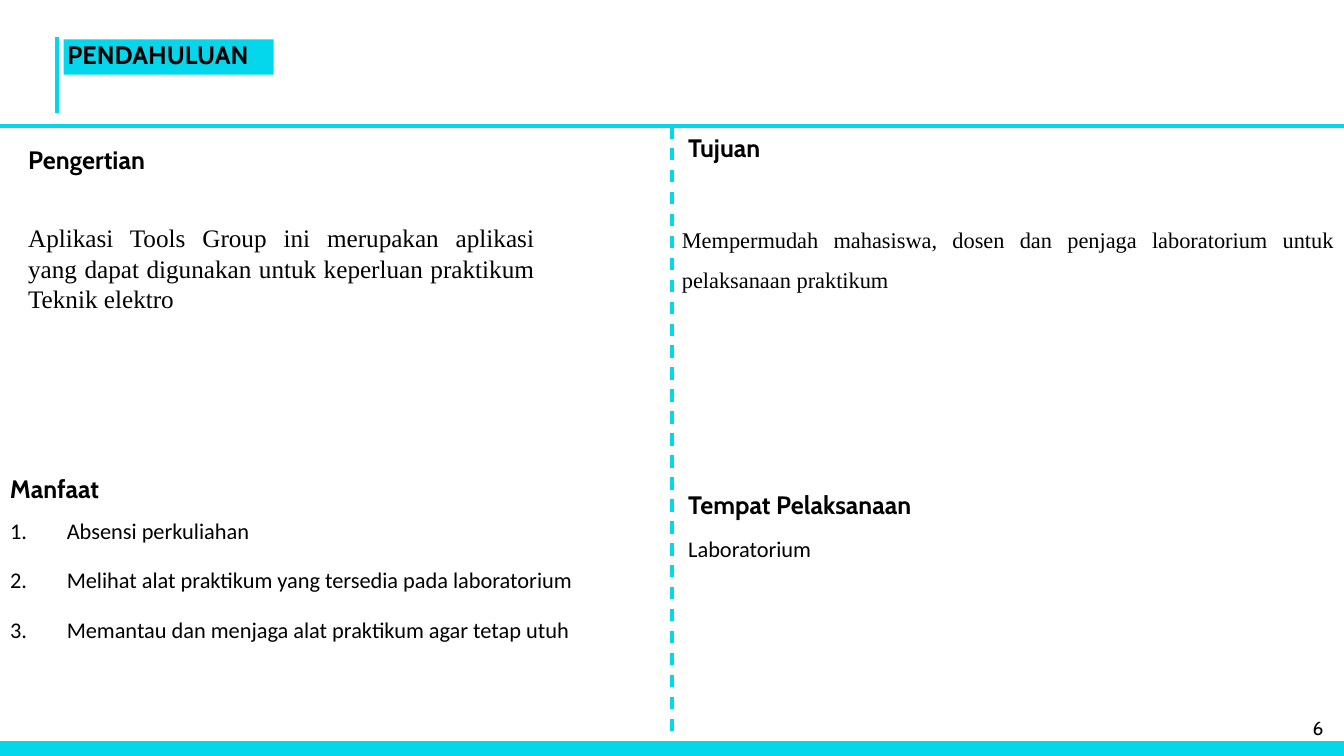
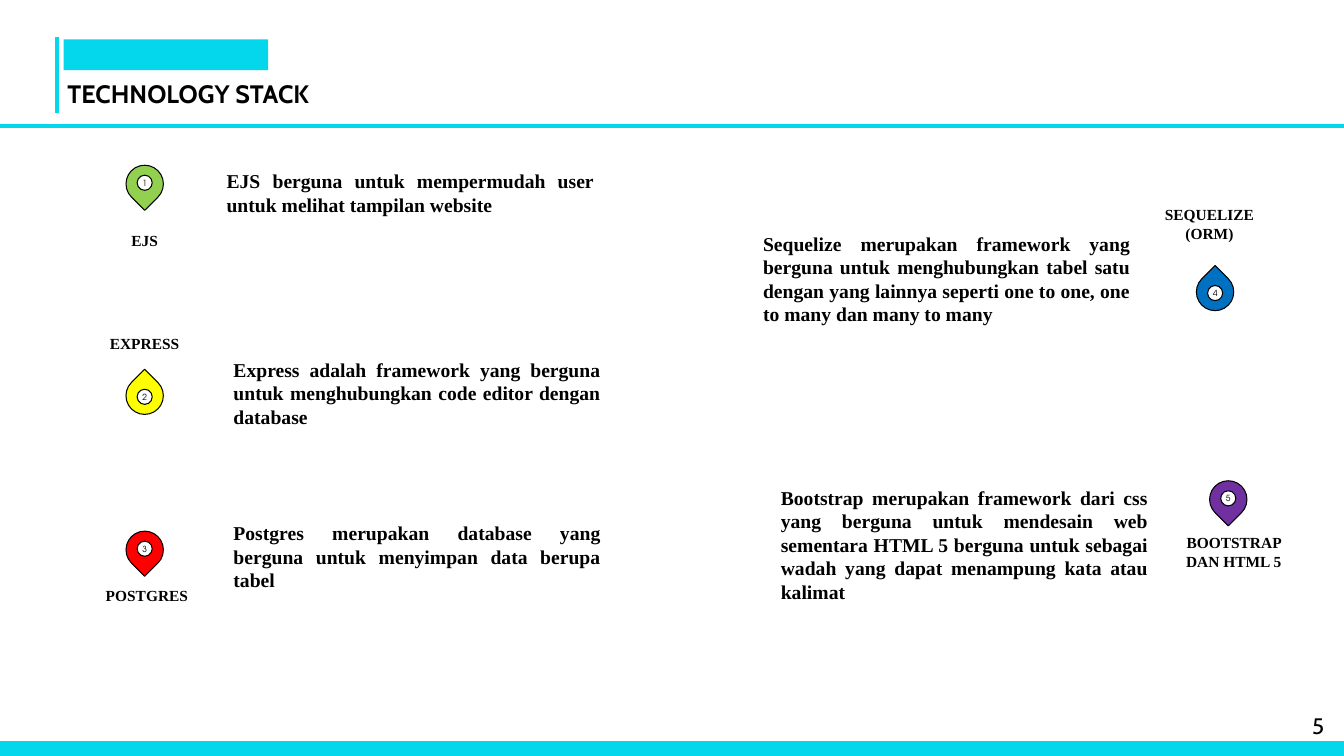
from dataclasses import dataclass
from typing import NamedTuple

from lxml import etree
from pptx import Presentation
from pptx.dml.color import RGBColor
from pptx.enum import dml, shapes, text
from pptx.oxml import ns
from pptx.util import Pt

CYAN = RGBColor(0x04, 0xD6, 0xEC)
BLACK = RGBColor(0x00, 0x00, 0x00)
WHITE = RGBColor(0xFF, 0xFF, 0xFF)
GREEN = RGBColor(0x92, 0xD0, 0x50)
YELLOW = RGBColor(0xFF, 0xFF, 0x00)
RED = RGBColor(0xFF, 0x00, 0x00)
BLUE = RGBColor(0x00, 0x70, 0xC0)
PURPLE = RGBColor(0x70, 0x30, 0xA0)

HEAD_FONT = "Cabin"
BODY_FONT = "Calibri"
SERIF_FONT = "Times New Roman"
DIGIT_FONT = "TeX Gyre Adventor"

LEFT, CENTER, JUSTIFY = (text.PP_ALIGN.LEFT, text.PP_ALIGN.CENTER,
                         text.PP_ALIGN.JUSTIFY)
TOP, MIDDLE, BOTTOM = (text.MSO_ANCHOR.TOP, text.MSO_ANCHOR.MIDDLE,
                       text.MSO_ANCHOR.BOTTOM)

SLIDE_W, SLIDE_H = 960, 540
RULE_Y = 90
PIN_SIZE, DOT_SIZE, DOT_SHIFT = 26.7, 10.8, 0.8
TITLE_ONLY, TITLE_AND_BODY = 5, 1


class Box(NamedTuple):
    x: float
    y: float
    w: float
    h: float

    def points(self) -> list:
        return [Pt(v) for v in self]


@dataclass
class Header:
    """Title and footer settings that vary by slide."""
    title: str
    title_y: float
    band: Box
    number: str
    number_box: Box
    number_size: float
    number_spacing: float


@dataclass
class Tool:
    """A numbered pin with its label and description."""
    number: int
    label: str
    note: str
    color: RGBColor
    pin_x: float
    pin_y: float
    points_down: bool
    label_box: Box
    note_box: Box
    label_anchor: text.MSO_ANCHOR = BOTTOM


def write(sp, content: str, *, font: str = HEAD_FONT, size: float = 18,
          bold: bool = False, align=LEFT, spacing: float = 1.0,
          before: float = 0, anchor=TOP, inset: bool = True) -> None:
    """Fill a shape with one paragraph per line of content."""
    tf = sp.text_frame
    tf.text = content
    tf.word_wrap = True
    tf.auto_size = text.MSO_AUTO_SIZE.NONE
    tf.vertical_anchor = anchor
    tf.margin_left = tf.margin_right = Pt(7.2 if inset else 0)
    tf.margin_top = tf.margin_bottom = Pt(3.6 if inset else 0)
    for p in tf.paragraphs:
        p.alignment, p.line_spacing = align, spacing
        p.space_before = Pt(before)
        for r in p.runs:
            r.font.name, r.font.size, r.font.bold = font, Pt(size), bold
            r.font.color.rgb = BLACK


def add_text(s, box: Box, content: str, **style) -> None:
    write(s.shapes.add_textbox(*box.points()), content, **style)


def place(sp, box: Box) -> None:
    sp.left, sp.top, sp.width, sp.height = box.points()


def number_list(sp, indent: float) -> None:
    """Number the paragraphs with a hanging indent."""
    for p in sp.text_frame.paragraphs:
        pPr = p._p.get_or_add_pPr()
        pPr.set("marL", str(Pt(indent)))
        pPr.set("indent", str(-Pt(indent)))
        font = etree.SubElement(pPr, ns.qn("a:buFont"))
        font.set("typeface", "+mj-lt")
        etree.SubElement(pPr, ns.qn("a:buAutoNum")).set("type", "arabicPeriod")


def add_shape(parent, kind, box: Box, fill: RGBColor, outlined: bool = False):
    sp = parent.shapes.add_shape(kind, *box.points())
    sp.shadow.inherit = False
    sp.fill.solid()
    sp.fill.fore_color.rgb = fill
    if outlined:
        sp.line.color.rgb = BLACK
        sp.line.width = Pt(0.75)
    else:
        sp.line.fill.background()
    return sp


def add_line(s, x1: float, y1: float, x2: float, y2: float,
             width: float = 3, dashed: bool = False) -> None:
    line = s.shapes.add_connector(shapes.MSO_CONNECTOR.STRAIGHT,
                                  Pt(x1), Pt(y1), Pt(x2), Pt(y2))
    line.line.color.rgb = CYAN
    line.line.width = Pt(width)
    if dashed:
        line.line.dash_style = dml.MSO_LINE.DASH
    etree.SubElement(line.element.spPr, ns.qn("a:effectLst"))


def new_slide(prs, layout: int, header: Header):
    """Add a slide with the shared title, rules and page number."""
    s = prs.slides.add_slide(prs.slide_layouts[layout])
    band = add_shape(s, shapes.MSO_SHAPE.RECTANGLE, header.band, CYAN)
    s.shapes.element.insert(2, band.element)  # behind the title
    place(s.shapes.title, Box(41, header.title_y, 358, 27))
    write(s.shapes.title, header.title, bold=True, spacing=0.9, anchor=MIDDLE)
    add_line(s, 41, 26.5, 41, 80.5)
    add_line(s, 0, RULE_Y, SLIDE_W, RULE_Y)
    add_line(s, 0, 535, SLIDE_W, 535, width=11)
    add_text(s, header.number_box, header.number, size=header.number_size,
             align=CENTER, spacing=header.number_spacing, before=10)
    return s


def add_pin(s, tool: Tool) -> None:
    """Draw a teardrop marker with its number in a white dot."""
    group = s.shapes.add_group_shape()
    pin = add_shape(group, shapes.MSO_SHAPE.TEAR,
                    Box(tool.pin_x, tool.pin_y, PIN_SIZE, PIN_SIZE),
                    tool.color, outlined=True)
    pin.rotation = 135 if tool.points_down else 315
    gap = (PIN_SIZE - DOT_SIZE) / 2
    shift = -DOT_SHIFT if tool.points_down else DOT_SHIFT
    dot = add_shape(group, shapes.MSO_SHAPE.OVAL,
                    Box(tool.pin_x + gap, tool.pin_y + gap + shift,
                        DOT_SIZE, DOT_SIZE), WHITE, outlined=True)
    write(dot, str(tool.number), font=DIGIT_FONT, size=6, align=CENTER,
          anchor=MIDDLE, inset=False)


def introduction(prs) -> None:
    s = new_slide(prs, TITLE_AND_BODY, Header(
        "PENDAHULUAN", 26.5, Box(45.5, 28.2, 150, 25.2),
        "6", Box(923, 512.6, 37, 19.5), 13.6, 0.7))
    add_line(s, 480, RULE_Y, 480, 523.5, width=2.25, dashed=True)

    # Section headings
    for heading, x, y in (("Pengertian", 13, 102), ("Tujuan", 484.5, 93.5),
                          ("Manfaat", 0, 337), ("Tempat Pelaksanaan", 484.5, 348.5)):
        add_text(s, Box(x, y, 358, 27), heading, bold=True, spacing=0.9,
                 anchor=MIDDLE)

    # Section texts
    add_text(s, Box(13, 155.5, 376, 72.7),
             "Aplikasi Tools Group ini merupakan aplikasi yang dapat digunakan "
             "untuk keperluan praktikum Teknik elektro",
             font=SERIF_FONT, align=JUSTIFY)
    add_text(s, Box(480, 148.3, 480, 232.5),
             "Mempermudah mahasiswa, dosen dan penjaga laboratorium untuk "
             "pelaksanaan praktikum",
             font=SERIF_FONT, size=16, align=JUSTIFY, spacing=1.5, before=18)
    body_style = dict(font=BODY_FONT, size=16, align=JUSTIFY, spacing=0.9,
                      before=18)
    add_text(s, Box(484.5, 381, 471.5, 129), "Laboratorium", **body_style)

    # Numbered benefits
    benefits = s.placeholders[1]
    place(benefits, Box(0, 368, 476, 119.5))
    write(benefits, "Absensi perkuliahan\n"
          "Melihat alat praktikum yang tersedia pada laboratorium\n"
          "Memantau dan menjaga alat praktikum agar tetap utuh", **body_style)
    number_list(benefits, 40.5)


TOOLS = (
    Tool(1, "EJS", "EJS berguna untuk mempermudah user untuk melihat tampilan "
         "website", GREEN, 90, 118, True,
         Box(72, 160, 62.6, 18), Box(154.8, 117.4, 276.5, 41)),
    Tool(2, "EXPRESS", "Express adalah framework yang berguna untuk "
         "menghubungkan code editor dengan database", YELLOW, 90, 269.3, False,
         Box(57.6, 234, 91.4, 18), Box(159.7, 252, 276.5, 58)),
    Tool(3, "POSTGRES", "Postgres merupakan database yang berguna untuk "
         "menyimpan data berupa tabel", RED, 90, 379.4, True,
         Box(67.5, 418.3, 75, 18), Box(159.7, 368.6, 276.5, 58), TOP),
    Tool(4, "SEQUELIZE (ORM)", "Sequelize merupakan framework yang berguna "
         "untuk menghubungkan tabel satu dengan yang lainnya seperti one to "
         "one, one to many dan many to many", BLUE, 854.6, 195.2, False,
         Box(814.2, 147, 99.4, 26), Box(538, 162, 276.5, 75)),
    Tool(5, "BOOTSTRAP DAN HTML 5", "Bootstrap merupakan framework dari css "
         "yang berguna untuk mendesain web sementara HTML 5 berguna untuk "
         "sebagai wadah yang dapat menampung kata atau kalimat", PURPLE,
         864, 343.4, True,
         Box(843.8, 381, 75, 37.4), Box(550.7, 343.4, 276.5, 92), TOP),
)


def technology_stack(prs) -> None:
    s = new_slide(prs, TITLE_ONLY, Header(
        "TECHNOLOGY STACK", 54.5, Box(45.5, 28.2, 146, 22),
        "5", Box(923, 507, 37, 25), 16, 0.9))
    for tool in TOOLS:
        add_pin(s, tool)
        add_text(s, tool.label_box, tool.label, font=SERIF_FONT, size=11,
                 bold=True, align=CENTER, anchor=tool.label_anchor, inset=False)
        add_text(s, tool.note_box, tool.note, font=SERIF_FONT, size=14,
                 bold=True, align=JUSTIFY)


def main() -> None:
    prs = Presentation()
    prs.slide_width, prs.slide_height = Pt(SLIDE_W), Pt(SLIDE_H)
    introduction(prs)
    technology_stack(prs)
    prs.save("out.pptx")


if __name__ == "__main__":
    main()
